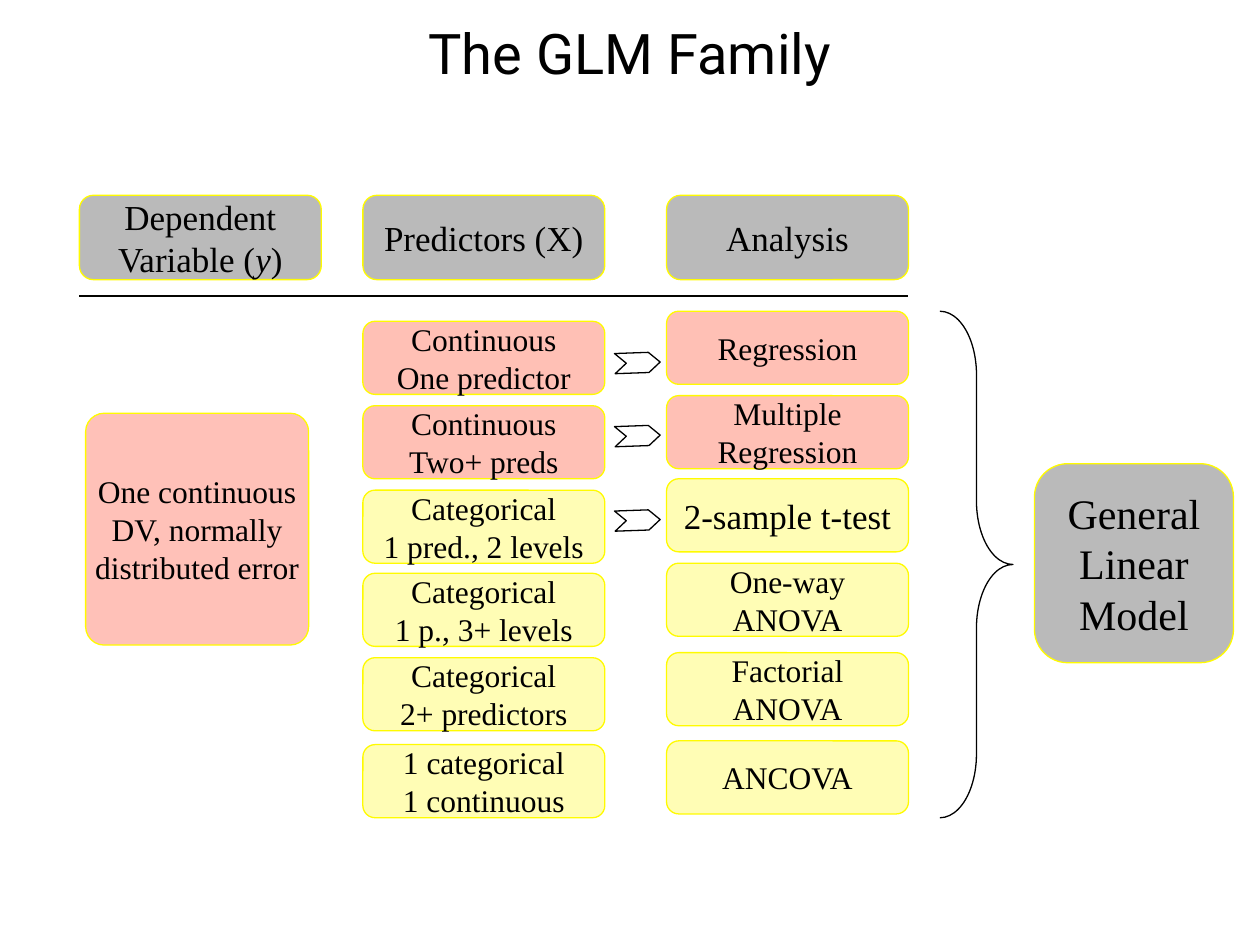
from dataclasses import dataclass
from lxml import etree
from pptx import Presentation
from pptx.dml.color import RGBColor
from pptx.enum.shapes import MSO_CONNECTOR, MSO_SHAPE
from pptx.enum.text import MSO_ANCHOR, PP_ALIGN
from pptx.oxml.ns import qn
from pptx.util import Inches, Pt

ROUND = MSO_SHAPE.ROUNDED_RECTANGLE
CHEVRON = MSO_SHAPE.CHEVRON
BRACE = MSO_SHAPE.RIGHT_BRACE
STRAIGHT = MSO_CONNECTOR.STRAIGHT
MIDDLE = MSO_ANCHOR.MIDDLE
CENTER = PP_ALIGN.CENTER


@dataclass(frozen=True)
class Theme:
    # Fills are (colour, opacity in percent)
    gray: tuple = ("000000", 27)
    red: tuple = ("FF2600", 29)
    yellow: tuple = ("FFFB00", 29)
    pink: tuple = ("FFC1B8", 100)
    edge: str = "FFFB00"
    ink: str = "000000"
    rule: str = "040400"
    width: float = 0.75
    head: str = "Roboto"
    body: str = "Times New Roman"
    title: int = 32
    large: int = 24
    label: int = 20
    small: int = 18


def apply(target, values):
    for name, value in values.items():
        setattr(target, name, value)


class Deck:
    def __init__(self, theme, slide):
        self.theme = theme
        self.slide = slide

    def letter(self, shape, text, size, face, pad):
        """Each line is a paragraph; words between asterisks are italic."""
        frame = shape.text_frame
        apply(frame, {
            "word_wrap": True, "vertical_anchor": MIDDLE,
            "margin_left": Inches(pad), "margin_right": Inches(pad),
            "margin_top": 0, "margin_bottom": 0,
        })
        for i, line in enumerate(text.split("\n")):
            para = frame.add_paragraph() if i else frame.paragraphs[0]
            para.alignment = CENTER
            for j, part in enumerate(line.split("*")):
                run = para.add_run()
                run.text = part
                apply(run.font, {"name": face, "size": Pt(size), "italic": j % 2 == 1})
                run.font.color.rgb = RGBColor.from_string(self.theme.ink)

    def stroke(self, line, color):
        line.color.rgb = RGBColor.from_string(color)
        line.width = Pt(self.theme.width)

    def title(self, text, *area):
        box = self.slide.shapes.add_textbox(*map(Inches, area))
        self.letter(box, text, self.theme.title, self.theme.head, 0.04)

    def shape(self, kind, area, color, adjust, turn=0):
        shape = self.slide.shapes.add_shape(kind, *map(Inches, area))
        shape.shadow.inherit = False
        shape.rotation = turn
        for i, value in enumerate(adjust):
            shape.adjustments[i] = value
        shape.fill.background()
        self.stroke(shape.line, color)
        return shape

    def box(self, text, area, fill, size, bend=0.167, pad=0.04):
        shape = self.shape(ROUND, area, self.theme.edge, [bend])
        color, alpha = fill
        shape.fill.solid()
        shape.fill.fore_color.rgb = RGBColor.from_string(color)
        if alpha < 100:
            tone = shape._element.spPr.find(qn("a:solidFill")).find(qn("a:srgbClr"))
            etree.SubElement(tone, qn("a:alpha")).set("val", str(alpha * 1000))
        self.letter(shape, text, size, self.theme.body, pad)

    def line(self, *ends):
        line = self.slide.shapes.add_connector(STRAIGHT, *map(Inches, ends))
        self.stroke(line.line, self.theme.rule)
        etree.SubElement(line._element.spPr, qn("a:effectLst"))


def main():
    show = Presentation()
    show.slide_width, show.slide_height = Inches(10), Inches(7.5)
    theme = Theme()
    deck = Deck(theme, show.slides.add_slide(show.slide_layouts[6]))
    deck.title("The GLM Family", 0.75, 0, 8.5, 0.83)

    # Column heads and rule
    wide, high = 1.92, 0.58
    left, mid, right = 0.63, 2.88, 5.29
    heads = [(left, "Dependent Variable (*y*)"), (mid, "Predictors (X)"),
             (right, "Analysis")]
    for x, text in heads:
        deck.box(text, (x, 1.55, wide, 0.67), theme.gray, theme.label)
    deck.line(left, 2.35, right + wide, 2.35)

    # Dependent variable
    deck.box("One continuous DV, normally distributed error",
             (0.68, 3.28, 1.77, 1.84), theme.pink, theme.small, 0.083, 0)

    # Predictors with their analyses: top, text, top, text, fill, text size
    rows = [
        (2.55, "Continuous\nOne predictor", 2.47, "Regression", theme.red, theme.small),
        (3.22, "Continuous\nTwo+ preds", 3.14, "Multiple Regression", theme.red, theme.small),
        (3.89, "Categorical\n1 pred., 2 levels", 3.8, "2-sample t-test", theme.yellow, theme.label),
        (4.55, "Categorical\n1 p., 3+ levels", 4.47, "One-way ANOVA", theme.yellow, theme.small),
        (5.22, "Categorical\n2+ predictors", 5.18, "Factorial ANOVA", theme.yellow, theme.small),
        (5.91, "1 categorical\n1 continuous", 5.88, "ANCOVA", theme.yellow, theme.small),
    ]
    for top, cause, level, test, fill, size in rows:
        deck.box(cause, (mid, top, wide, high), fill, theme.small)
        deck.box(test, (right, level, wide, high), fill, size)

    # Chevrons between the columns
    for y in (2.8, 3.38, 4.05):
        deck.shape(CHEVRON, (4.88, y, 0.36, 0.16), theme.ink, [0.569], 358)

    # Brace and the shared model
    deck.shape(BRACE, (7.46, 2.47, 0.58, 4.02), theme.ink, [0.87, 0.5])
    deck.box("General Linear Model", (8.21, 3.68, 1.58, 1.58), theme.gray, theme.large)

    show.save("out.pptx")


if __name__ == "__main__":
    main()
